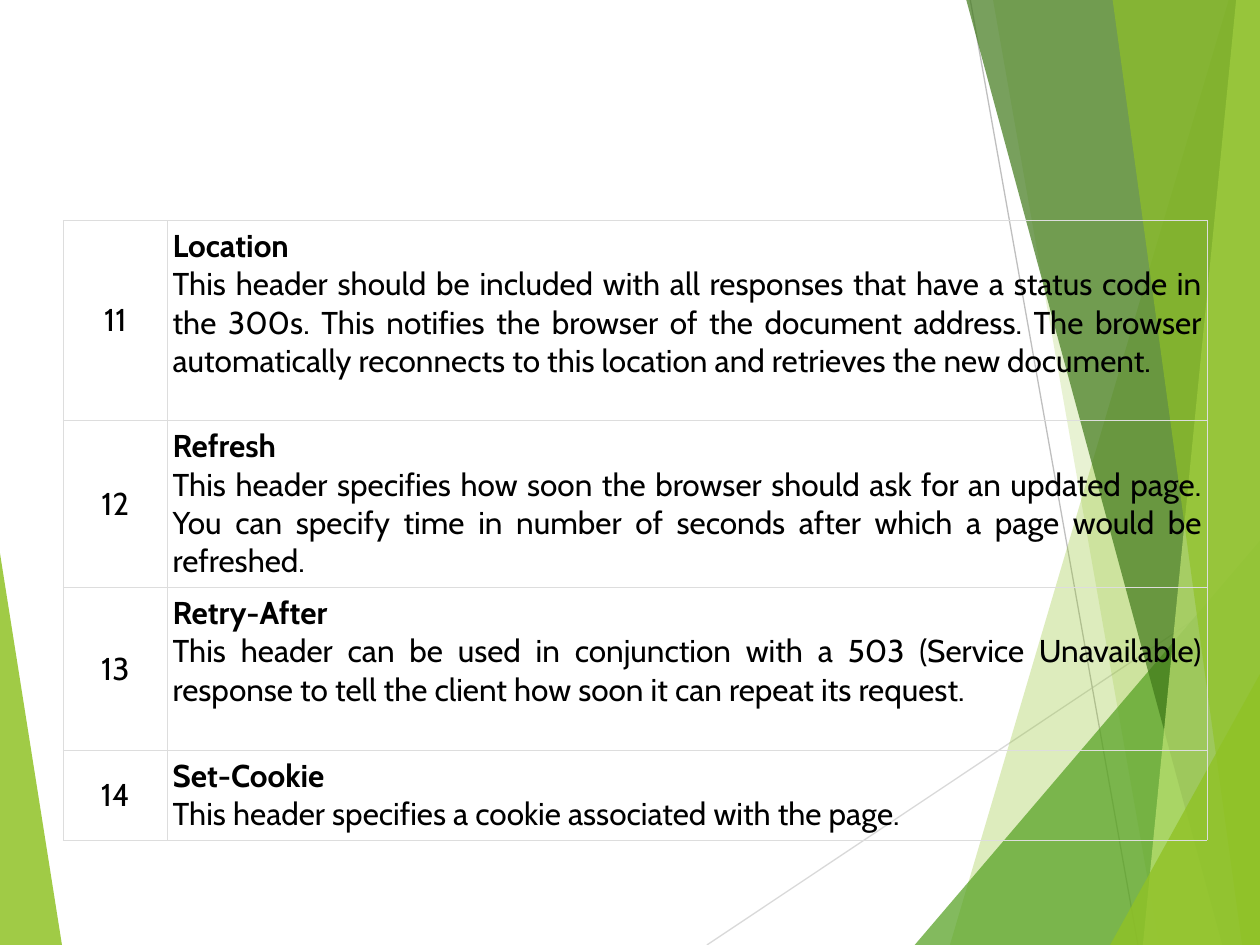
from dataclasses import dataclass

from lxml import etree
from pptx import Presentation
from pptx import util as u
from pptx.dml.color import RGBColor
from pptx.enum import shapes, text
from pptx.oxml.ns import qn
from pptx.util import Cm


@dataclass(frozen=True)
class Theme:
    font: str = "Cabin"
    size: int = 18
    ink: str = "000000"
    border: str = "DDDDDD"
    border_pt: float = 0.34
    lime: str = "90C226"
    green: str = "54A021"
    forest: str = "3F7819"
    pale: str = "C0E474"
    light_line: str = "D9D9D9"
    mid_line: str = "BFBFBF"


T = Theme()
W, H = 25.4, 19.05

# Right-hand bands: top x, top y, bottom x, colour, opacity in percent
BANDS = [
    (24.77, 0, 19.15, T.lime, 30),
    (20.02, 0, 23.37, T.lime, 20),
    (W, 10.9, 18.44, T.green, 72),
    (19.48, 0, 24.64, T.forest, 70),
    (24.92, 0, 23.04, T.pale, 70),
    (22.43, 0, 25.04, T.lime, 65),
    (W, 13.59, 22.38, T.lime, 80),
]

# Number, header name, description, row height
HEADERS = [
    ("11", "Location",
     "This header should be included with all responses that have a status code "
     "in the 300s. This notifies the browser of the document address. The browser "
     "automatically reconnects to this location and retrieves the new document.", 4.04),
    ("12", "Refresh",
     "This header specifies how soon the browser should ask for an updated page. "
     "You can specify time in number of seconds after which a page would be "
     "refreshed.", 3.28),
    ("13", "Retry-After",
     "This header can be used in conjunction with a 503 (Service Unavailable) "
     "response to tell the client how soon it can repeat its request.", 3.28),
    ("14", "Set-Cookie",
     "This header specifies a cookie associated with the page.", 1.75),
]


def add_polygon(s, points, color, opacity):
    points = [(Cm(x), Cm(y)) for x, y in points]
    builder = s.shapes.build_freeform(*points[0])
    builder.add_line_segments(points[1:], close=True)
    sp = builder.convert_to_shape()
    sp.shadow.inherit = False
    sp.line.fill.background()
    sp.fill.solid()
    sp.fill.fore_color.rgb = RGBColor.from_string(color)
    clr = sp.fill._xPr.find(".//" + qn("a:srgbClr"))
    etree.SubElement(clr, qn("a:alpha"), val=str(opacity * 1000))


def add_rule(s, x1, y1, x2, y2, color):
    line = s.shapes.add_connector(
        shapes.MSO_CONNECTOR.STRAIGHT, Cm(x1), Cm(y1), Cm(x2), Cm(y2))
    line.line.color.rgb = RGBColor.from_string(color)
    line.line.width = u.Pt(0.75)
    etree.SubElement(line._element.spPr, qn("a:effectLst"))


def add_backdrop(s, x, y, w, h):
    """Wedge on the left, thin rules and translucent bands on the right."""
    add_polygon(s, [(x, y + 11.15), (x + 1.25, y + h), (x, y + h)], T.lime, 85)
    add_rule(s, x + 14.25, y + h, x + w, y + 11.61, T.light_line)
    add_rule(s, x + 19.56, y, x + 22.94, y + h, T.mid_line)
    for top_x, top_y, bottom_x, color, opacity in BANDS:
        points = [(x + top_x, y + top_y), (x + bottom_x, y + h), (x + w, y + h)]
        if top_x < w:
            points.append((x + w, y + top_y))
        add_polygon(s, points, color, opacity)


def set_borders(cell):
    tcPr = cell._tc.get_or_add_tcPr()
    for i, side in enumerate(("lnL", "lnR", "lnT", "lnB")):
        ln = etree.Element(qn("a:" + side), w=str(u.Pt(T.border_pt)))
        fill = etree.SubElement(ln, qn("a:solidFill"))
        etree.SubElement(fill, qn("a:srgbClr"), val=T.border)
        tcPr.insert(i, ln)


def fill_cell(cell, lines, align, anchor):
    """Write (wording, bold) lines, one paragraph each."""
    cell.fill.background()
    set_borders(cell)
    cell.margin_left = cell.margin_right = Cm(0.1)
    cell.margin_top = cell.margin_bottom = Cm(0.13)
    cell.vertical_anchor = anchor
    tf = cell.text_frame
    for i, (wording, bold) in enumerate(lines):
        p = tf.paragraphs[0] if i == 0 else tf.add_paragraph()
        p.text = wording
        p.alignment = align
        p.font.name, p.font.size, p.font.bold = T.font, u.Pt(T.size), bold
        p.font.color.rgb = RGBColor.from_string(T.ink)


def add_header_table(s, x, y, w, number_w):
    h = sum(row[-1] for row in HEADERS)
    table = s.shapes.add_table(len(HEADERS), 2, Cm(x), Cm(y), Cm(w), Cm(h)).table
    table.first_row = table.horz_banding = False
    table.columns[0].width = Cm(number_w)
    table.columns[1].width = Cm(w - number_w)
    for i, (number, name, description, row_h) in enumerate(HEADERS):
        table.rows[i].height = Cm(row_h)
        fill_cell(table.cell(i, 0), [(number, False)],
                  text.PP_ALIGN.CENTER, text.MSO_ANCHOR.MIDDLE)
        fill_cell(table.cell(i, 1), [(name, True), (description, False)],
                  text.PP_ALIGN.JUSTIFY, text.MSO_ANCHOR.TOP)


def main():
    prs = Presentation()
    prs.slide_width, prs.slide_height = Cm(W), Cm(H)
    s = prs.slides.add_slide(prs.slide_layouts[6])
    add_backdrop(s, 0, 0, W, H)
    add_header_table(s, 1.27, 4.44, 23.06, 2.11)
    prs.save("out.pptx")


if __name__ == "__main__":
    main()
